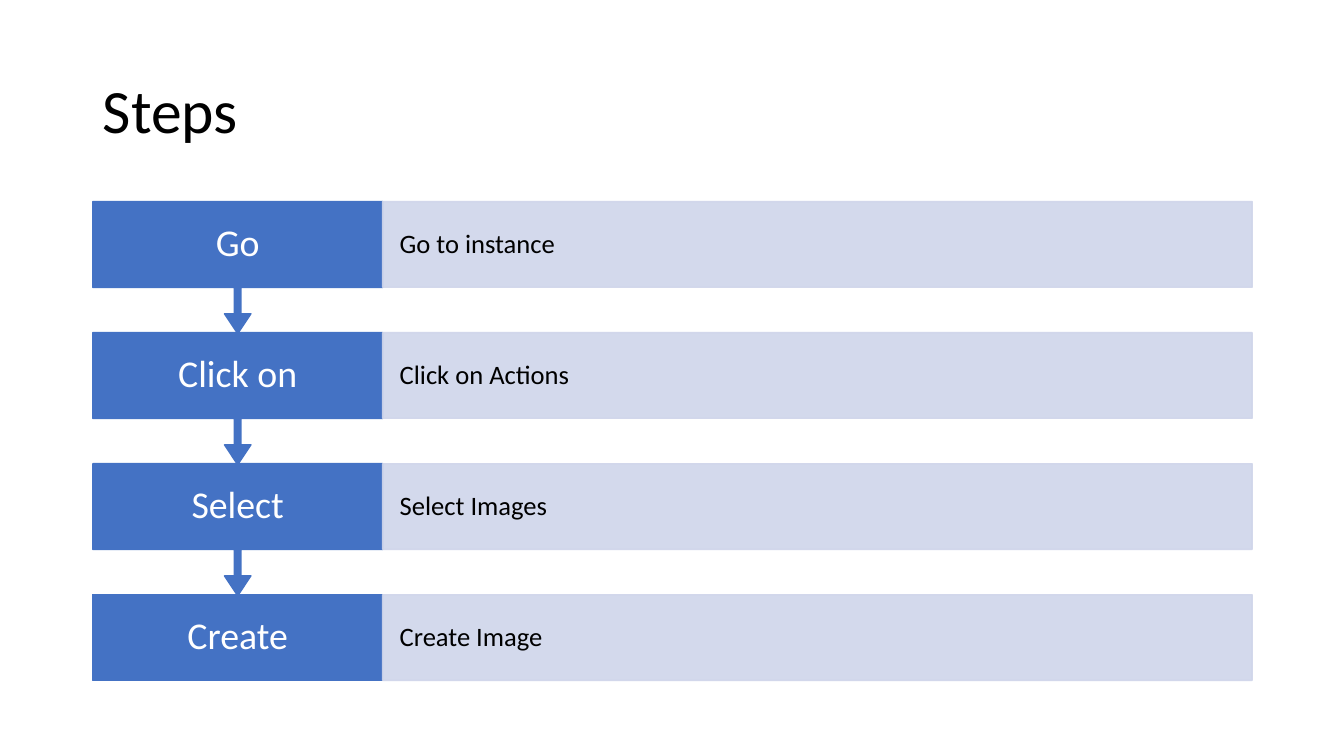
from lxml import etree
from pptx import Presentation
from pptx.dml.color import RGBColor
from pptx.enum.shapes import MSO_SHAPE
from pptx.enum.text import MSO_ANCHOR, PP_ALIGN
from pptx.oxml.ns import qn
from pptx.util import Inches, Pt

RECT, ARROW = MSO_SHAPE.RECTANGLE, MSO_SHAPE.DOWN_ARROW_CALLOUT
MIDDLE = MSO_ANCHOR.MIDDLE
LEFT, CENTER = PP_ALIGN.LEFT, PP_ALIGN.CENTER

COLORS = {"blue": "4472C4", "pale": "CFD5EA", "white": "FFFFFF", "black": "000000"}
STEPS = [
    ("Go", "Go to instance"),
    ("Click on", "Click on Actions"),
    ("Select", "Select Images"),
    ("Create", "Create Image"),
]
EDGE, TOP, PITCH = 0.92, 2, 1.3
WIDE = 11.5
STEP_W = WIDE / 4
BAR_H, CALL_H = 0.85, 1.31
STEP = {"fill": "blue", "ink": "white", "size": 27, "align": CENTER, "pad": (0.2, 0.21)}
NOTE = {"fill": "pale", "ink": "black", "size": 19, "align": LEFT, "pad": (0.17, 0.26)}
HEAD = {"ink": "black", "size": 44, "align": LEFT, "pad": (0.1, 0.05)}


def write(shape, text, style):
    frame = shape.text_frame
    frame.text = text
    across, down = (Inches(n) for n in style["pad"])
    form = {
        "word_wrap": True, "vertical_anchor": MIDDLE,
        "margin_left": across, "margin_right": across,
        "margin_top": down, "margin_bottom": down,
    }
    for name, value in form.items():
        setattr(frame, name, value)
    para = frame.paragraphs[0]
    para.alignment, para.line_spacing = style["align"], 0.9
    font = para.runs[0].font
    font.name, font.size = "Calibri", Pt(style["size"])
    font.color.rgb = RGBColor.from_string(COLORS[style["ink"]])


def block(kind, box, text, style):
    shape = slide.shapes.add_shape(kind, *(Inches(n) for n in box))
    shape.shadow.inherit = False
    shape.fill.solid()
    shape.line.width = Pt(1)
    for paint in (shape.fill.fore_color, shape.line.color):
        paint.rgb = RGBColor.from_string(COLORS[style["fill"]])
    write(shape, text, style)
    return shape


deck = Presentation()
deck.slide_width, deck.slide_height = Inches(13.33), Inches(7.5)
slide = deck.slides.add_slide(deck.slide_layouts[5])

title = slide.shapes.title
place = {"left": EDGE, "top": 0.4, "width": WIDE, "height": 1.45}
for name, value in place.items():
    setattr(title, name, Inches(value))
write(title, "Steps", HEAD)

for row, (verb, note) in enumerate(STEPS):
    y = TOP + row * PITCH
    last = row == len(STEPS) - 1
    kind, high = (RECT, BAR_H) if last else (ARROW, CALL_H)
    step = block(kind, (EDGE, y, STEP_W, high), verb, STEP)
    if not last:
        for spot, share in enumerate((0.05, 0.1, 0.15, 0.65)):
            step.adjustments[spot] = share
    bar = block(RECT, (EDGE + STEP_W, y, WIDE - STEP_W, BAR_H), note, NOTE)
    for tint in bar._element.spPr.iter(qn("a:srgbClr")):
        etree.SubElement(tint, qn("a:alpha")).set("val", "90000")

deck.save("out.pptx")
